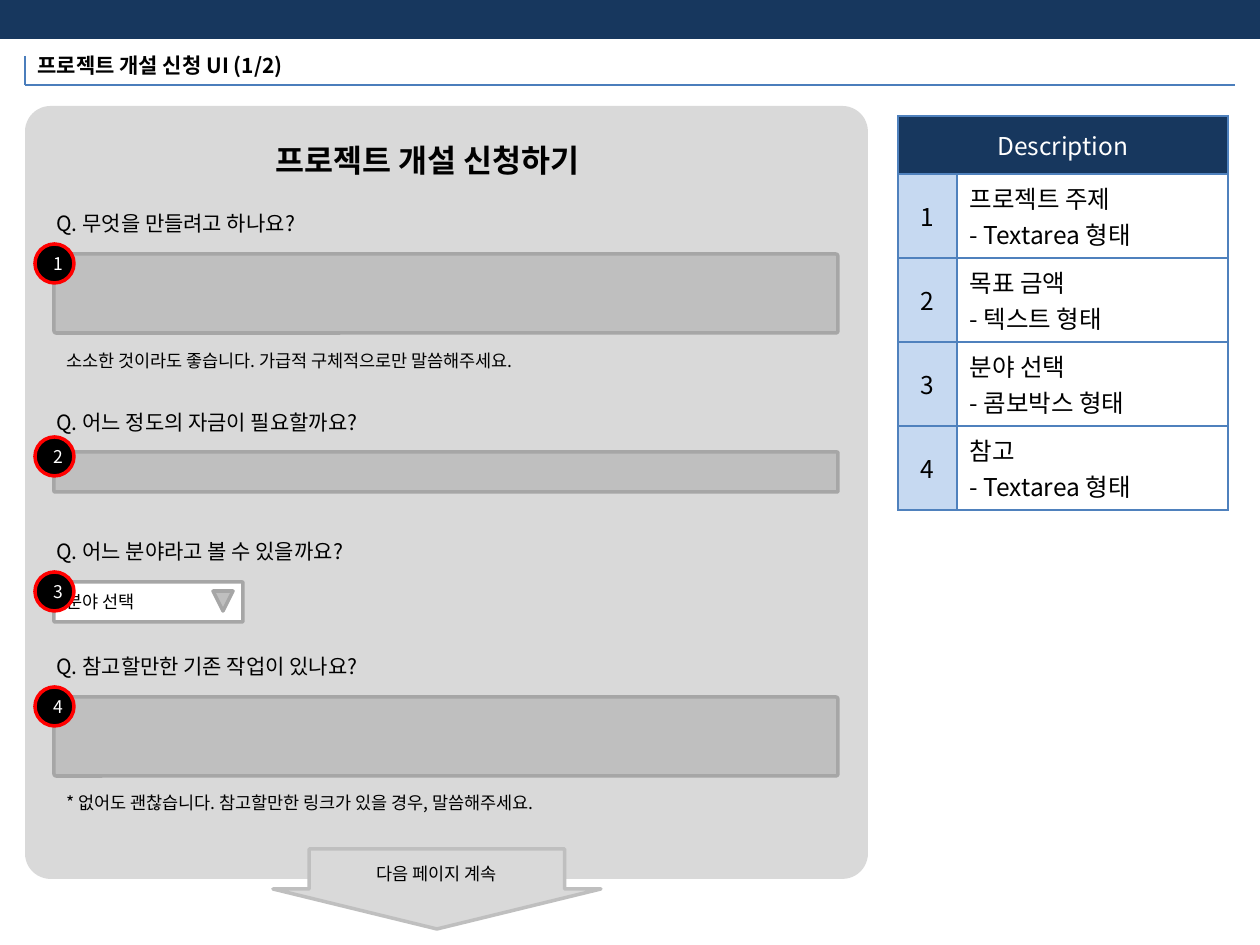
from lxml.etree import SubElement
from pptx import Presentation
from pptx.dml.color import RGBColor
from pptx.enum.shapes import MSO_CONNECTOR, MSO_SHAPE as SHAPE
from pptx.enum.text import MSO_ANCHOR as ANCHOR, MSO_AUTO_SIZE as AUTO, PP_ALIGN as ALIGN
from pptx.oxml.ns import qn
from pptx.util import Emu, Pt

PX = 914400 // 126
FONT = "Noto Sans CJK KR"
NAVY = RGBColor(0x17, 0x37, 0x5E)
RULE = RGBColor(0x4B, 0x7E, 0xBC)
PALE_BLUE = RGBColor(0xC6, 0xD9, 0xF1)
PANEL = RGBColor(0xD9, 0xD9, 0xD9)
FIELD = RGBColor(0xBF, 0xBF, 0xBF)
EDGE = RGBColor(0xA6, 0xA6, 0xA6)
RED = RGBColor(0xFF, 0, 0)
BLACK = RGBColor(0, 0, 0)
WHITE = RGBColor(0xFF, 0xFF, 0xFF)

prs = Presentation()
prs.slide_width, prs.slide_height = Emu(1260 * PX), Emu(945 * PX)
slide = prs.slides.add_slide(prs.slide_layouts[5])
shapes = slide.shapes


def write(frame, lines, size, color=BLACK, bold=False, align=ALIGN.LEFT):
    frame.text = lines
    for para in frame.paragraphs:
        para.alignment = align
        font = para.font
        font.size, font.bold, font.name = Pt(size), bold, FONT
        font.color.rgb = color
        SubElement(para._p.pPr.find(qn("a:defRPr")), qn("a:ea"), typeface=FONT)


def draw(kind, box, fill, line=None, adjust=()):
    shape = shapes.add_shape(kind, *[Emu(v * PX) for v in box])
    shape.shadow.inherit = False
    shape.fill.solid()
    shape.fill.fore_color.rgb = fill
    if line is None:
        shape.line.fill.background()
    else:
        shape.line.color.rgb, shape.line.width = line, Pt(2)
    for i, value in enumerate(adjust):
        shape.adjustments[i] = value
    return shape


draw(SHAPE.RECTANGLE, (0, 0, 1260, 37), NAVY, NAVY)
for ends in ((25, 56, 25, 85), (25, 85, 1235, 85)):
    rule = shapes.add_connector(MSO_CONNECTOR.STRAIGHT, *[Emu(v * PX) for v in ends])
    rule.line.color.rgb, rule.line.width = RULE, Pt(0.75)
    SubElement(rule._element.spPr, qn("a:effectLst"))

draw(SHAPE.ROUNDED_RECTANGLE, (25, 106, 843, 773), PANEL, adjust=[0.033])
next_page = draw(SHAPE.DOWN_ARROW, (273, 849, 328, 80), PANEL, FIELD, [0.779, 0.5])
write(next_page.text_frame, "다음 페이지 계속", 10, align=ALIGN.CENTER)

title = shapes.title
title.left, title.top, title.width, title.height = [Emu(v * PX) for v in (25, 46, 296, 38)]
labels = [(title, "프로젝트 개설 신청 UI (1/2)", 12, True)]
for box, words, size, bold in (
    ((263, 135, 367, 50), "프로젝트 개설 신청하기", 18, True),
    ((44, 204, 290, 38), "Q. 무엇을 만들려고 하나요?", 12, False),
    ((54, 344, 520, 34), "소소한 것이라도 좋습니다. 가급적 구체적으로만 말씀해주세요.", 10, False),
    ((44, 403, 360, 38), "Q. 어느 정도의 자금이 필요할까요?", 12, False),
    ((44, 532, 346, 38), "Q. 어느 분야라고 볼 수 있을까요?", 12, False),
    ((44, 647, 360, 38), "Q. 참고할만한 기존 작업이 있나요?", 12, False),
    ((54, 786, 548, 34), "* 없어도 괜찮습니다. 참고할만한 링크가 있을 경우, 말씀해주세요.", 10, False),
):
    labels.append((shapes.add_textbox(*[Emu(v * PX) for v in box]), words, size, bold))
for label, words, size, bold in labels:
    frame = label.text_frame
    frame.word_wrap, frame.auto_size = False, AUTO.SHAPE_TO_FIT_TEXT
    frame.vertical_anchor = ANCHOR.TOP
    write(frame, words, size, bold=bold)

fields = (
    (254, 784, 79, FIELD, "", 244),
    (452, 784, 40, FIELD, "", 437),
    (582, 189, 40, WHITE, "분야 선택", 572),
    (697, 784, 79, FIELD, "", 687),
)
for number, (top, width, height, fill, words, badge_top) in enumerate(fields, 1):
    field = draw(SHAPE.ROUNDED_RECTANGLE, (54, top, width, height), fill, EDGE, [0.027])
    if words:
        write(field.text_frame, words, 10)
    badge = draw(SHAPE.OVAL, (35, badge_top, 39, 39), BLACK, RED)
    write(badge.text_frame, str(number), 10, WHITE, align=ALIGN.CENTER)
draw(SHAPE.FLOWCHART_MERGE, (213, 591, 20, 20), FIELD, EDGE)

descriptions = (
    "프로젝트 주제\n Textarea 형태",
    "목표 금액\n 텍스트 형태",
    "분야 선택\n- 콤보박스 형태",
    "참고\n- Textarea 형태",
)
table = shapes.add_table(5, 2, *[Emu(v * PX) for v in (898, 116, 330, 394)]).table
table.first_row = table.horz_banding = False
table.columns[0].width, table.columns[1].width = Emu(59 * PX), Emu(271 * PX)
for r, row in enumerate(table.rows):
    row.height = Emu((84 if r else 58) * PX)
table.cell(0, 0).merge(table.cell(0, 1))
write(table.cell(0, 0).text_frame, "Description", 14, WHITE, align=ALIGN.CENTER)
for number, words in enumerate(descriptions, 1):
    write(table.cell(number, 0).text_frame, str(number), 14, align=ALIGN.CENTER)
    details = table.cell(number, 1).text_frame
    write(details, words, 14)
    second = details.paragraphs[1]
    if second.text.startswith(" "):
        props = second._p.pPr
        defaults = props.find(qn("a:defRPr"))
        defaults.addprevious(SubElement(props, qn("a:buFont"), typeface=FONT))
        defaults.addprevious(SubElement(props, qn("a:buChar"), char="-"))

for r in range(5):
    for c in range(2):
        cell = table.cell(r, c)
        cell.vertical_anchor = ANCHOR.MIDDLE
        for side in ("lnL", "lnR", "lnT", "lnB"):
            border = SubElement(cell._tc.get_or_add_tcPr(), qn("a:" + side), w=str(Pt(1)))
            paint = SubElement(border, qn("a:solidFill"))
            SubElement(paint, qn("a:srgbClr"), val="4F81BD")
        cell.fill.solid()
        cell.fill.fore_color.rgb = NAVY if r == 0 else WHITE if c else PALE_BLUE

prs.save("out.pptx")
